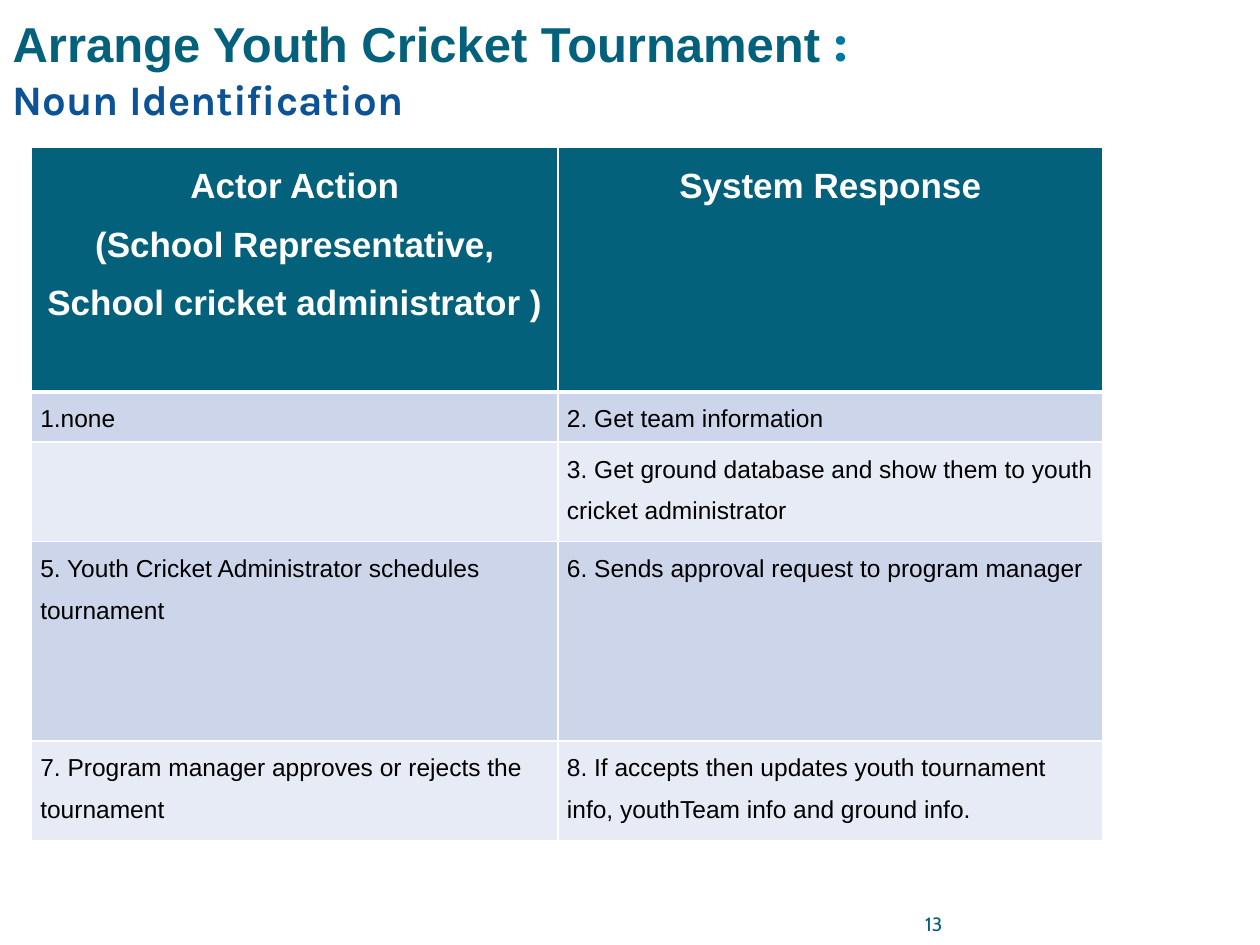
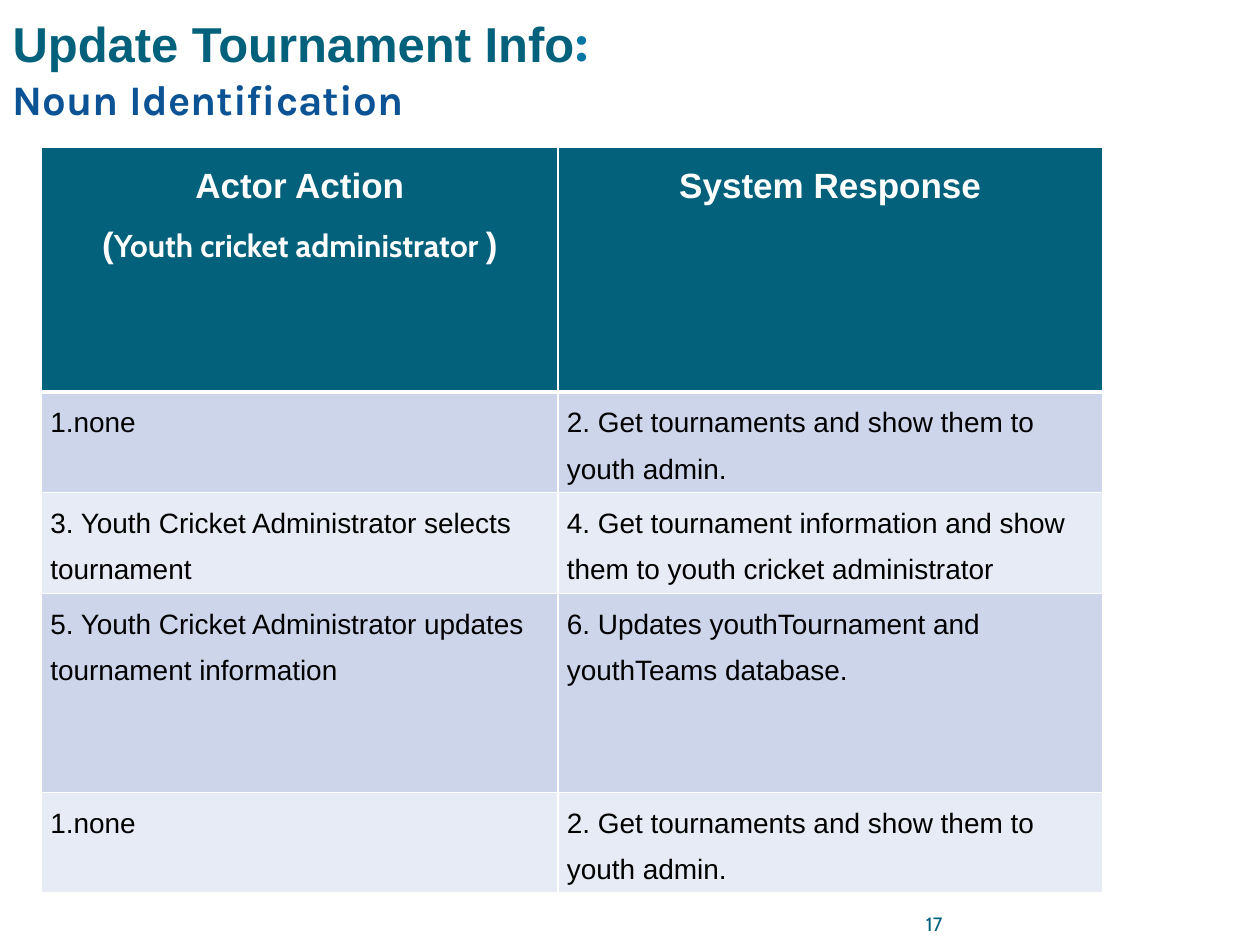
from lxml.etree import SubElement
from pptx import Presentation
from pptx.dml.color import RGBColor
from pptx.enum.text import MSO_ANCHOR as Anchor, MSO_AUTO_SIZE as AutoSize, PP_ALIGN as Align
from pptx.oxml.ns import qn
from pptx.util import Inches, Pt

TEAL = RGBColor(0x04, 0x61, 0x7B)
BRIGHT_BLUE = RGBColor(0x00, 0x76, 0xA3)
DEEP_BLUE = RGBColor(0x0B, 0x53, 0x94)
WHITE = RGBColor(0xFF, 0xFF, 0xFF)
BLACK = RGBColor(0x00, 0x00, 0x00)
BANDS = (RGBColor(0xCC, 0xD5, 0xEA), RGBColor(0xE7, 0xEB, 0xF5))

SUBTITLE = "Noun Identification"
RESPONSE_HEADING = [[("System Response", 20, "Arial")]]
ROW_HEIGHTS = (1.94, 0.4, 0.79, 1.58, 0.79)
TABLE_TOP, TABLE_RIGHT, RESPONSE_WIDTH = 1.17, 8.75, 4.32

USE_CASES = [
    {
        "title": "Arrange Youth Cricket Tournament ",
        "number": "13",
        "left": 0.25,
        "body_size": 14,
        "actor_heading": [
            [("Actor Action", 20, "Arial")],
            [("(School Representative, School cricket administrator )", 20, "Arial")],
        ],
        "steps": [
            ("1.none", "2. Get team information"),
            ("", "3. Get ground database and show them to youth cricket administrator"),
            ("5. Youth Cricket Administrator schedules tournament",
             "6. Sends approval request to program manager"),
            ("7. Program manager approves or rejects the tournament",
             "8. If accepts then updates youth tournament info, youthTeam info and ground info."),
        ],
    },
    {
        "title": "Update Tournament Info",
        "number": "17",
        "left": 0.33,
        "body_size": 16,
        "actor_heading": [
            [("Actor Action", 20, "Arial")],
            [("(", 20, "Arial"), ("Youth cricket administrator ", 18, "Cabin"), (")", 20, "Arial")],
        ],
        "steps": [
            ("1.none", "2. Get tournaments and show them to youth admin."),
            ("3. Youth Cricket Administrator selects tournament",
             "4. Get tournament information and show them to youth cricket administrator"),
            ("5. Youth Cricket Administrator updates tournament information",
             "6. Updates youthTournament and youthTeams database."),
            ("1.none", "2. Get tournaments and show them to youth admin."),
        ],
    },
]


def apply(target, values):
    """Set every attribute named in values."""
    for name, value in values.items():
        setattr(target, name, value)


def write(frame, paragraphs, bold, **layout):
    """Fill a text frame with paragraphs of (text, size, font, colour) runs."""
    for index, runs in enumerate(paragraphs):
        paragraph = frame.add_paragraph() if index else frame.paragraphs[0]
        apply(paragraph, layout)
        for text, size, font, colour in runs:
            run = paragraph.add_run()
            run.text = text
            apply(run.font, {"size": Pt(size), "name": font, "bold": bold})
            run.font.color.rgb = colour


def place(shape, left, top, width, height):
    """Move and size a shape, in inches."""
    apply(shape, {"left": Inches(left), "top": Inches(top),
                  "width": Inches(width), "height": Inches(height)})


def add_title(slide, title):
    """Write the two-line heading in the title placeholder."""
    heading = slide.shapes.title
    place(heading, 0, 0, 8.92, 1.04)
    apply(heading.text_frame, {"word_wrap": True, "vertical_anchor": Anchor.TOP,
                               "auto_size": AutoSize.SHAPE_TO_FIT_TEXT})
    lines = [[(title, 28, "Arial", TEAL), (":", 32, "Karla", BRIGHT_BLUE)],
             [(SUBTITLE, 24, "Karla", DEEP_BLUE)]]
    write(heading.text_frame, lines, True, alignment=Align.LEFT)


def add_number(slide, number):
    """Write the page number at the foot of the slide."""
    box = slide.shapes.add_textbox(Inches(6.84), Inches(7.17), Inches(0.64), Inches(0.25))
    apply(box.text_frame, {"word_wrap": True, "vertical_anchor": Anchor.BOTTOM,
                           "margin_left": 0, "margin_right": 0,
                           "margin_top": 0, "margin_bottom": 0})
    write(box.text_frame, [[(number, 11, "Cabin", TEAL)]], False, alignment=Align.RIGHT)


def style_cell(cell, fill, row):
    """Give a cell its fill, margins and white borders."""
    apply(cell, {"margin_left": Inches(0.07), "margin_right": Inches(0.07),
                 "margin_top": 0, "margin_bottom": 0, "vertical_anchor": Anchor.TOP})
    properties = cell._tc.get_or_add_tcPr()
    thick_side = {0: "lnB", 1: "lnT"}.get(row)
    for side in ("lnL", "lnR", "lnT", "lnB"):
        border = SubElement(properties, qn(f"a:{side}"), w=str(Pt(3 if side == thick_side else 1)))
        SubElement(SubElement(border, qn("a:solidFill")), qn("a:srgbClr"), val=str(WHITE))
    cell.fill.solid()
    cell.fill.fore_color.rgb = fill


def add_steps(slide, case):
    """Build the table of actor actions and system responses."""
    width = TABLE_RIGHT - case["left"]
    table = slide.shapes.add_table(
        len(ROW_HEIGHTS), 2, Inches(case["left"]), Inches(TABLE_TOP),
        Inches(width), Inches(sum(ROW_HEIGHTS))).table
    for column, size in zip(table.columns, (width - RESPONSE_WIDTH, RESPONSE_WIDTH)):
        column.width = Inches(size)
    for row, height in zip(table.rows, ROW_HEIGHTS):
        row.height = Inches(height)
    for column, heading in enumerate((case["actor_heading"], RESPONSE_HEADING)):
        cell = table.cell(0, column)
        style_cell(cell, TEAL, 0)
        lines = [[(*run, WHITE) for run in line] for line in heading]
        write(cell.text_frame, lines, True, alignment=Align.CENTER, line_spacing=1.5)
    for row, step in enumerate(case["steps"], 1):
        for column, text in enumerate(step):
            cell = table.cell(row, column)
            style_cell(cell, BANDS[(row - 1) % 2], row)
            if text:
                write(cell.text_frame, [[(text, case["body_size"], "Arial", BLACK)]], False,
                      line_spacing=1.5, space_after=Pt(10))


def main():
    """Build one slide per use case and save the deck."""
    deck = Presentation()
    apply(deck, {"slide_width": Inches(10), "slide_height": Inches(7.5)})
    for case in USE_CASES:
        slide = deck.slides.add_slide(deck.slide_layouts[5])
        add_number(slide, case["number"])
        add_title(slide, case["title"])
        add_steps(slide, case)
    deck.save("out.pptx")


if __name__ == "__main__":
    main()
